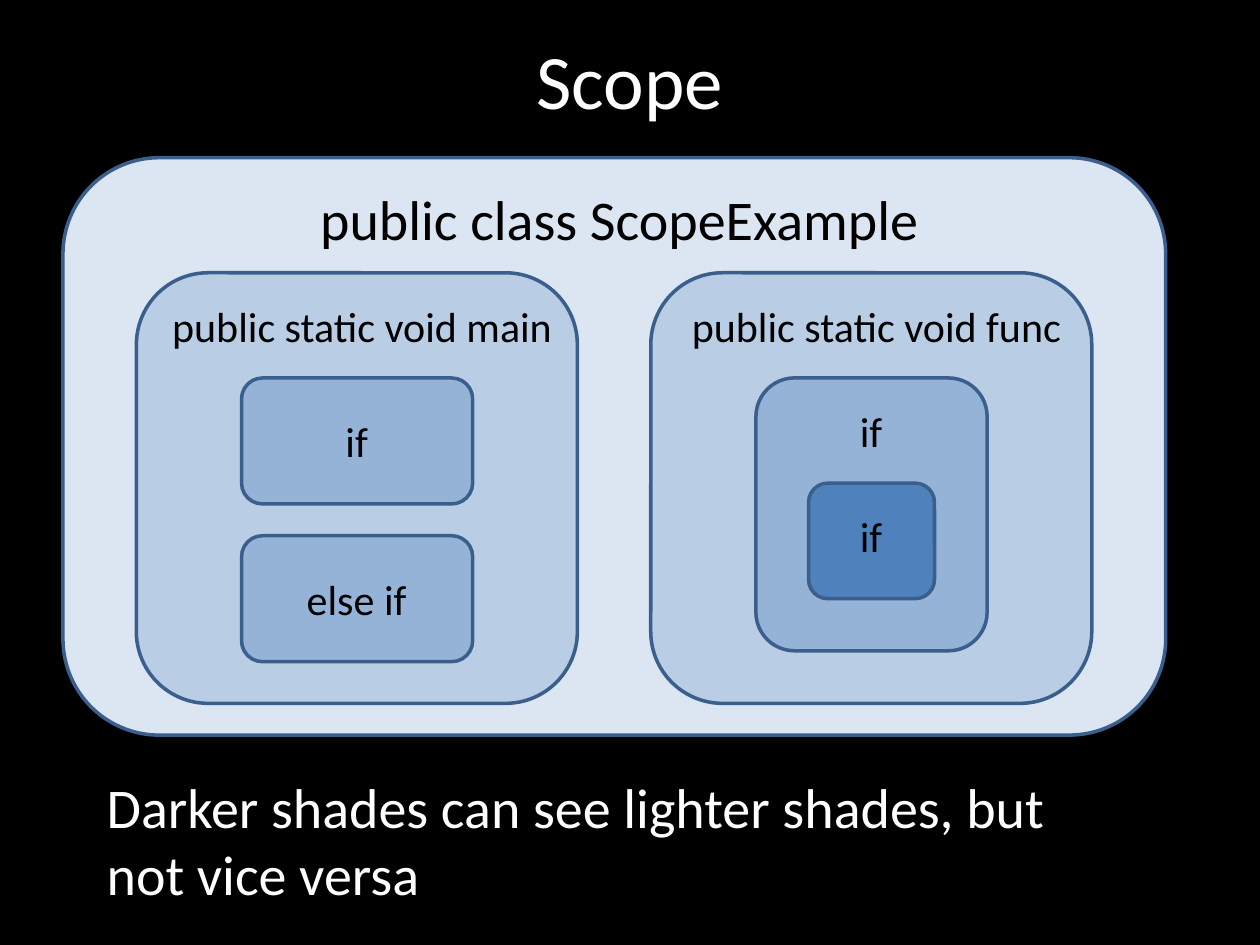
from pptx import Presentation
from pptx.dml.color import RGBColor
from pptx.enum.shapes import MSO_SHAPE
from pptx.enum.text import MSO_ANCHOR, PP_ALIGN
from pptx.util import Cm, Pt

ROUNDED = MSO_SHAPE.ROUNDED_RECTANGLE
TOP, MIDDLE = MSO_ANCHOR.TOP, MSO_ANCHOR.MIDDLE
LEFT, CENTER = PP_ALIGN.LEFT, PP_ALIGN.CENTER

BLACK = RGBColor(0x00, 0x00, 0x00)
WHITE = RGBColor(0xFF, 0xFF, 0xFF)
OUTLINE = RGBColor(0x3A, 0x5F, 0x8C)
CLASS_FILL = RGBColor(0xDC, 0xE6, 0xF2)
METHOD_FILL = RGBColor(0xB9, 0xCD, 0xE5)
BLOCK_FILL = RGBColor(0x95, 0xB3, 0xD7)
INNER_FILL = RGBColor(0x4F, 0x81, 0xBD)


class ScopeSlide:
    font_name = "Calibri"
    line_width = Pt(2)

    def __init__(self, deck):
        self.page = deck.slides.add_slide(deck.slide_layouts[6])
        background = self.page.background.fill
        background.solid()
        background.fore_color.rgb = BLACK

    def scope(self, left, top, width, height, fill):
        shape = self.page.shapes.add_shape(
            ROUNDED, Cm(left), Cm(top), Cm(width), Cm(height))
        shape.shadow.inherit = False
        shape.fill.solid()
        shape.fill.fore_color.rgb = fill
        shape.line.color.rgb = OUTLINE
        shape.line.width = self.line_width

    def text(self, words, left, top, width, height, size=24,
             color=BLACK, align=CENTER, anchor=TOP):
        box = self.page.shapes.add_textbox(
            Cm(left), Cm(top), Cm(width), Cm(height))
        frame = box.text_frame
        frame.word_wrap = True
        frame.vertical_anchor = anchor
        para = frame.paragraphs[0]
        para.alignment = align
        span = para.add_run()
        span.text = words
        span.font.name = self.font_name
        span.font.size = Pt(size)
        span.font.color.rgb = color

    def method(self, left, name):
        self.scope(left, 5.5, 8.89, 8.68, METHOD_FILL)
        self.text(name, left - 1.27, 5.93, 11.64, 1.27)

    def block(self, method_left, top, height, label, label_top):
        self.scope(method_left + 2.12, top, 4.66, height, BLOCK_FILL)
        self.block_label(method_left, label, label_top)

    def block_label(self, method_left, label, top):
        self.text(label, method_left - 0.64, top, 10.16, 1.27)


def main():
    deck = Presentation()
    deck.slide_width, deck.slide_height = Cm(25.4), Cm(19.05)
    slide = ScopeSlide(deck)

    # Title
    slide.text("Scope", 1.27, 0, 22.86, 3.18, 44, WHITE, anchor=MIDDLE)

    # Class scope
    slide.scope(1.27, 3.18, 22.23, 11.64, CLASS_FILL)
    slide.text("public class ScopeExample", 5.08, 3.6, 14.82, 1.62, 32)

    # Main method with two sibling blocks
    main_left = 2.75
    slide.method(main_left, "public static void main")
    for row, label in enumerate(("if", "else if")):
        top = 7.62 + row * 3.18
        slide.block(main_left, top, 2.54, label, top + 0.63)

    # Second method with nested blocks
    func_left = 13.12
    slide.method(func_left, "public static void func")
    slide.block(func_left, 7.62, 5.5, "if", 8.04)
    slide.scope(func_left + 3.18, 9.74, 2.54, 2.33, INNER_FILL)
    slide.block_label(func_left, "if", 10.16)

    # Rule of visibility
    slide.text("Darker shades can see lighter shades, but not vice versa",
               1.9, 15.45, 21.17, 2.99, 32, WHITE, LEFT)

    deck.save("out.pptx")


if __name__ == "__main__":
    main()
